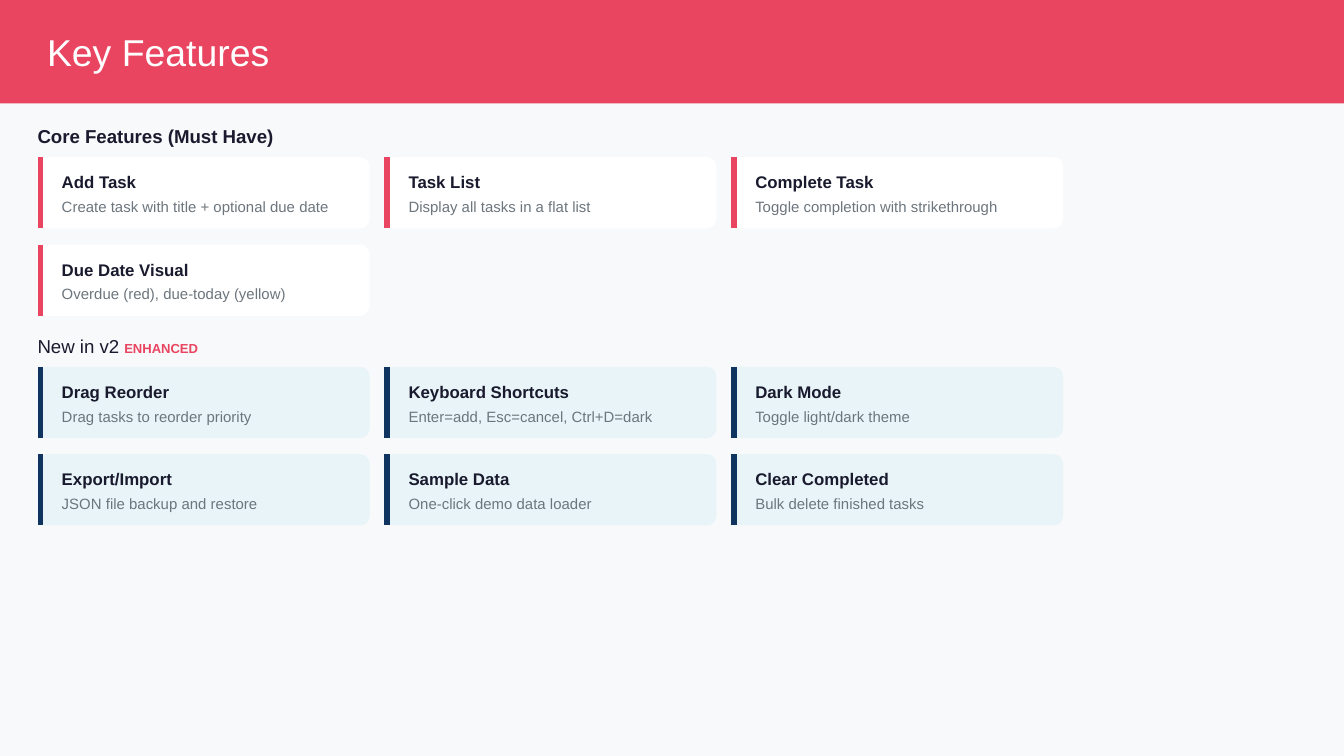
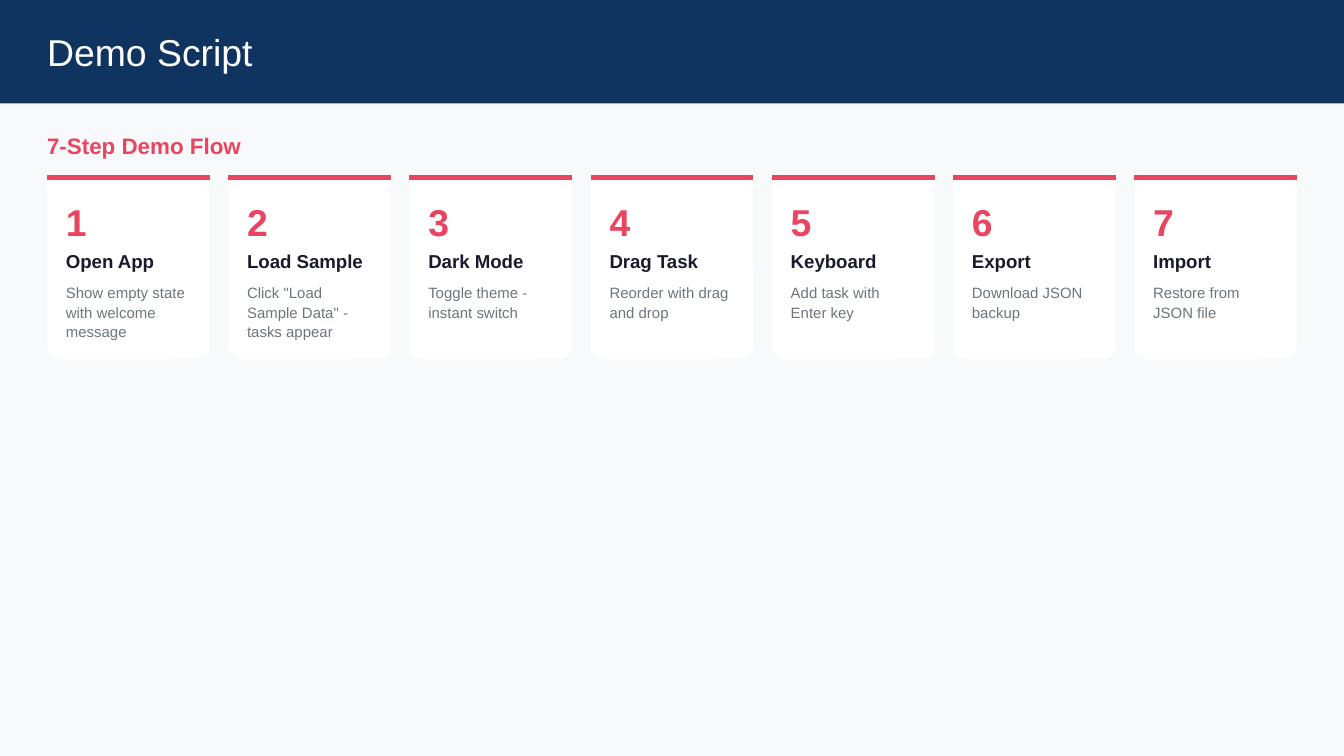
from dataclasses import dataclass

from pptx import Presentation
from pptx.dml.color import RGBColor
from pptx.enum.shapes import MSO_CONNECTOR as Connector, MSO_SHAPE as Preset
from pptx.oxml.ns import qn
from pptx.util import Inches, Pt
from lxml.etree import SubElement


@dataclass(frozen=True)
class Theme:
    font: str = "Arial"
    background: str = "F8F9FA"
    white: str = "FFFFFF"
    red: str = "E94560"
    navy: str = "0F3460"
    ice: str = "E8F4F8"
    ink: str = "1A1A2E"
    grey: str = "6C757D"
    title_size: float = 20
    subtitle_size: float = 12
    heading_size: float = 10
    card_size: float = 9
    body_size: float = 8
    tag_size: float = 7
    accent_width: float = 3


THEME = Theme()
SLIDE_WIDTH = 10
SLIDE_HEIGHT = SLIDE_WIDTH * 9 / 16

CORE_FEATURES = [
    ("Add Task", "Create task with title + optional due date"),
    ("Task List", "Display all tasks in a flat list"),
    ("Complete Task", "Toggle completion with strikethrough"),
    ("Due Date Visual", "Overdue (red), due-today (yellow)"),
]
NEW_FEATURES = [
    ("Drag Reorder", "Drag tasks to reorder priority"),
    ("Keyboard Shortcuts", "Enter=add, Esc=cancel, Ctrl+D=dark"),
    ("Dark Mode", "Toggle light/dark theme"),
    ("Export/Import", "JSON file backup and restore"),
    ("Sample Data", "One-click demo data loader"),
    ("Clear Completed", "Bulk delete finished tasks"),
]
DEMO_STEPS = [
    ("Open App", "Show empty state with welcome message"),
    ("Load Sample", 'Click "Load Sample Data" - tasks appear'),
    ("Dark Mode", "Toggle theme - instant switch"),
    ("Drag Task", "Reorder with drag and drop"),
    ("Keyboard", "Add task with Enter key"),
    ("Export", "Download JSON backup"),
    ("Import", "Restore from JSON file"),
]


def add_run(paragraph, text, size, color, bold=False):
    run = paragraph.add_run()
    run.text = text
    run.font.name = THEME.font
    run.font.size = Pt(size)
    run.font.bold = bold
    run.font.color.rgb = RGBColor.from_string(color)


def add_text(slide, box, text, *, size, color, bold=False,
             before=0, after=0, line_spacing=None):
    """Add a text box without margins and return its paragraph."""
    frame = slide.shapes.add_textbox(*map(Inches, box)).text_frame
    frame.word_wrap = True
    frame.margin_left = frame.margin_right = 0
    frame.margin_top = frame.margin_bottom = 0
    paragraph = frame.paragraphs[0]
    paragraph.space_before, paragraph.space_after = Pt(before), Pt(after)
    if line_spacing:
        paragraph.line_spacing = Pt(line_spacing)
    add_run(paragraph, text, size, color, bold)
    return paragraph


def add_panel(slide, box, fill, corner=None):
    """Add a plain filled rectangle, rounded when a corner ratio is given."""
    preset = Preset.ROUNDED_RECTANGLE if corner else Preset.RECTANGLE
    shape = slide.shapes.add_shape(preset, *map(Inches, box))
    shape.shadow.inherit = False
    shape.fill.solid()
    shape.fill.fore_color.rgb = RGBColor.from_string(fill)
    shape.line.fill.background()
    if corner:
        shape.adjustments[0] = corner


def add_accent(slide, start, end, color):
    connector = slide.shapes.add_connector(
        Connector.STRAIGHT, *map(Inches, (*start, *end)))
    connector.line.color.rgb = RGBColor.from_string(color)
    connector.line.width = Pt(THEME.accent_width)
    SubElement(connector._element.spPr, qn("a:effectLst"))


def add_titled_slide(presentation, title, band_color):
    slide = presentation.slides.add_slide(presentation.slide_layouts[6])
    slide.background.fill.solid()
    slide.background.fill.fore_color.rgb = RGBColor.from_string(THEME.background)
    add_panel(slide, (0, 0, SLIDE_WIDTH, 0.77), band_color)
    add_text(slide, (0.35, 0.22, 9.49, 0.32), title,
             size=THEME.title_size, color=THEME.white)
    return slide


def add_feature_card(slide, box, name, description, fill, accent):
    left, top, width, height = box
    add_panel(slide, box, fill, corner=0.13)
    add_accent(slide, (left + 0.02, top), (left + 0.02, top + height), accent)
    text_left, text_width = left + 0.18, width - 0.27
    add_text(slide, (text_left, top + 0.11, text_width, 0.15), name,
             size=THEME.card_size, color=THEME.ink, bold=True, after=3)
    add_text(slide, (text_left, top + 0.3, text_width, 0.12), description,
             size=THEME.body_size, color=THEME.grey)


def add_feature_section(slide, left, top, heading, features, fill, accent, tag=None):
    """Add a heading, bold unless a tag follows it, over a three-column card grid."""
    paragraph = add_text(slide, (left, top, 9.63, 0.16), heading,
                         size=THEME.heading_size, color=THEME.ink,
                         bold=not tag, after=6)
    if tag:
        add_run(paragraph, tag, THEME.tag_size, THEME.red, bold=True)
    columns, column_pitch, row_pitch = 3, 2.58, 0.65
    for index, (name, description) in enumerate(features):
        row, column = divmod(index, columns)
        box = (left + column * column_pitch, top + 0.24 + row * row_pitch, 2.47, 0.53)
        add_feature_card(slide, box, name, description, fill, accent)


def add_step_card(slide, box, number, name, description):
    left, top, width, _ = box
    add_panel(slide, box, THEME.white, corner=0.07)
    add_accent(slide, (left, top + 0.02), (left + width, top + 0.02), THEME.red)
    text_left, text_width = left + 0.14, width - 0.26
    add_text(slide, (text_left, top + 0.18, text_width, 0.32), str(number),
             size=THEME.title_size, color=THEME.red, bold=True)
    add_text(slide, (text_left, top + 0.56, text_width, 0.16), name,
             size=THEME.heading_size, color=THEME.ink, bold=True,
             before=4, after=6)
    add_text(slide, (text_left, top + 0.8, text_width, 0.43), description,
             size=THEME.body_size, color=THEME.grey, line_spacing=10.4)


def add_step_row(slide, box, steps, card_width):
    """Spread the step cards evenly over the width of the box."""
    left, top, width, height = box
    pitch = (width - card_width) / (len(steps) - 1)
    for index, (name, description) in enumerate(steps):
        card = (left + index * pitch, top, card_width, height)
        add_step_card(slide, card, index + 1, name, description)


def build_features_slide(presentation):
    slide = add_titled_slide(presentation, "Key Features", THEME.red)
    add_feature_section(slide, 0.28, 0.93, "Core Features (Must Have)",
                        CORE_FEATURES, THEME.white, THEME.red)
    add_feature_section(slide, 0.28, 2.49, "New in v2 ", NEW_FEATURES,
                        THEME.ice, THEME.navy, tag="ENHANCED")


def build_demo_slide(presentation):
    slide = add_titled_slide(presentation, "Demo Script", THEME.navy)
    add_text(slide, (0.35, 0.98, 9.49, 0.19), "7-Step Demo Flow",
             size=THEME.subtitle_size, color=THEME.red, bold=True, after=10)
    add_step_row(slide, (0.35, 1.3, 9.3, 1.37), DEMO_STEPS, card_width=1.21)


def main():
    presentation = Presentation()
    presentation.slide_width = Inches(SLIDE_WIDTH)
    presentation.slide_height = Inches(SLIDE_HEIGHT)
    build_features_slide(presentation)
    build_demo_slide(presentation)
    presentation.save("out.pptx")


if __name__ == "__main__":
    main()
